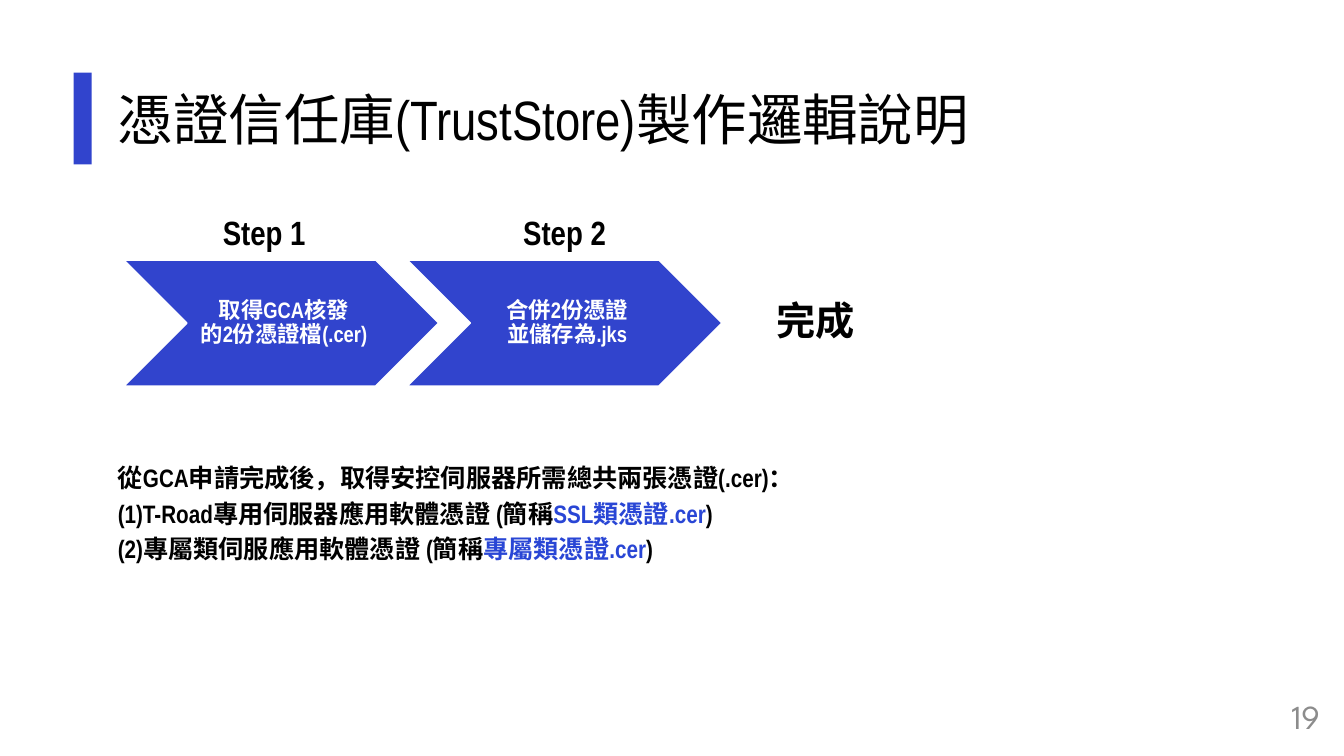
from pptx import Presentation
from pptx.dml.color import RGBColor
from pptx.enum import shapes, text
from pptx.util import Inches, Pt

BLUE = RGBColor(0x31, 0x44, 0xCD)
LINK_BLUE = RGBColor(0x29, 0x46, 0xD5)
BLACK = RGBColor(0, 0, 0)
WHITE = RGBColor(255, 255, 255)
GRAY = RGBColor(0x8C, 0x8C, 0x8C)

LEFT, CENTER, RIGHT = text.PP_ALIGN.LEFT, text.PP_ALIGN.CENTER, text.PP_ALIGN.RIGHT

TITLE = "憑證信任庫(TrustStore)製作邏輯說明"
STEPS = ["取得GCA核發\n的2份憑證檔(.cer)", "合併2份憑證\n並儲存為.jks"]
# Each paragraph is a list of (text, colour) runs
NOTES = [
    [("從GCA申請完成後，取得安控伺服器所需總共兩張憑證(.cer)：", BLACK)],
    [("(1)T-Road專用伺服器應用軟體憑證 (簡稱", BLACK), ("SSL類憑證.cer", LINK_BLUE), (")", BLACK)],
    [("(2)專屬類伺服應用軟體憑證 (簡稱", BLACK), ("專屬類憑證.cer", LINK_BLUE), (")", BLACK)],
]


def place(shape, left, top, width, height):
    shape.left, shape.top = Inches(left), Inches(top)
    shape.width, shape.height = Inches(width), Inches(height)


def write(shape, content, size, color=BLACK, bold=False, align=LEFT,
          font="Arial Narrow", line_spacing=0.9, gap=0):
    """Fill a shape with one string or with paragraphs of (text, colour) runs."""
    frame = shape.text_frame
    frame.word_wrap = True
    frame.auto_size = text.MSO_AUTO_SIZE.NONE
    frame.vertical_anchor = text.MSO_ANCHOR.MIDDLE
    paragraphs = [[(content, color)]] if isinstance(content, str) else content
    for index, runs in enumerate(paragraphs):
        paragraph = frame.add_paragraph() if index else frame.paragraphs[0]
        paragraph.alignment = align
        paragraph.line_spacing = line_spacing
        paragraph.space_before = Pt(gap if index else 0)
        for run_text, run_color in runs:
            for number, line in enumerate(run_text.split("\n")):
                if number:
                    paragraph.add_line_break()
                run = paragraph.add_run()
                run.text = line
                run.font.name, run.font.size = font, Pt(size)
                run.font.bold = bold
                run.font.color.rgb = run_color


def add_label(slide, content, left, top, width, height, **style):
    box = slide.shapes.add_textbox(
        Inches(left), Inches(top), Inches(width), Inches(height))
    write(box, content, **style)


def add_block(slide, kind, left, top, width, height):
    shape = slide.shapes.add_shape(
        kind, Inches(left), Inches(top), Inches(width), Inches(height))
    shape.shadow.inherit = False
    shape.fill.solid()
    shape.fill.fore_color.rgb = BLUE
    shape.line.fill.background()
    return shape


def add_step(slide, content, left):
    chevron = add_block(slide, shapes.MSO_SHAPE.CHEVRON, left, 2.58, 3.12, 1.25)
    chevron.line.color.rgb = WHITE
    chevron.line.width = Pt(1)
    frame = chevron.text_frame
    frame.margin_left = Inches(0.07)
    frame.margin_top = frame.margin_right = frame.margin_bottom = Inches(0.02)
    write(chevron, content, size=16, color=WHITE, bold=True, align=CENTER)


def main():
    presentation = Presentation()
    presentation.slide_width, presentation.slide_height = Inches(13.33), Inches(7.5)
    slide = presentation.slides.add_slide(presentation.slide_layouts[5])

    # Title with its accent bar
    title = slide.shapes.title
    place(title, 1.07, 0.62, 9.39, 1.19)
    write(title, TITLE, size=39.6)
    add_block(slide, shapes.MSO_SHAPE.RECTANGLE, 0.73, 0.72, 0.18, 0.91)

    # Process steps and result
    for index, step in enumerate(STEPS):
        add_step(slide, step, 1.23 + 2.81 * index)
        add_label(slide, f"Step {index + 1}", 2.05 + 2.98 * index, 1.98, 1.14, 0.7,
                  size=24, bold=True, align=CENTER)
    add_label(slide, "完成", 7.45, 2.94, 1.27, 0.53, size=28, bold=True, align=CENTER)

    # Notes on the certificates
    add_label(slide, NOTES, 1.07, 4.38, 7.64, 1.46, size=18, bold=True, gap=6)

    # Page number
    add_label(slide, "19", 10.19, 6.9, 3, 0.4, size=24, color=GRAY, align=RIGHT,
              font="League Spartan", line_spacing=1.0)

    presentation.save("out.pptx")


if __name__ == "__main__":
    main()
